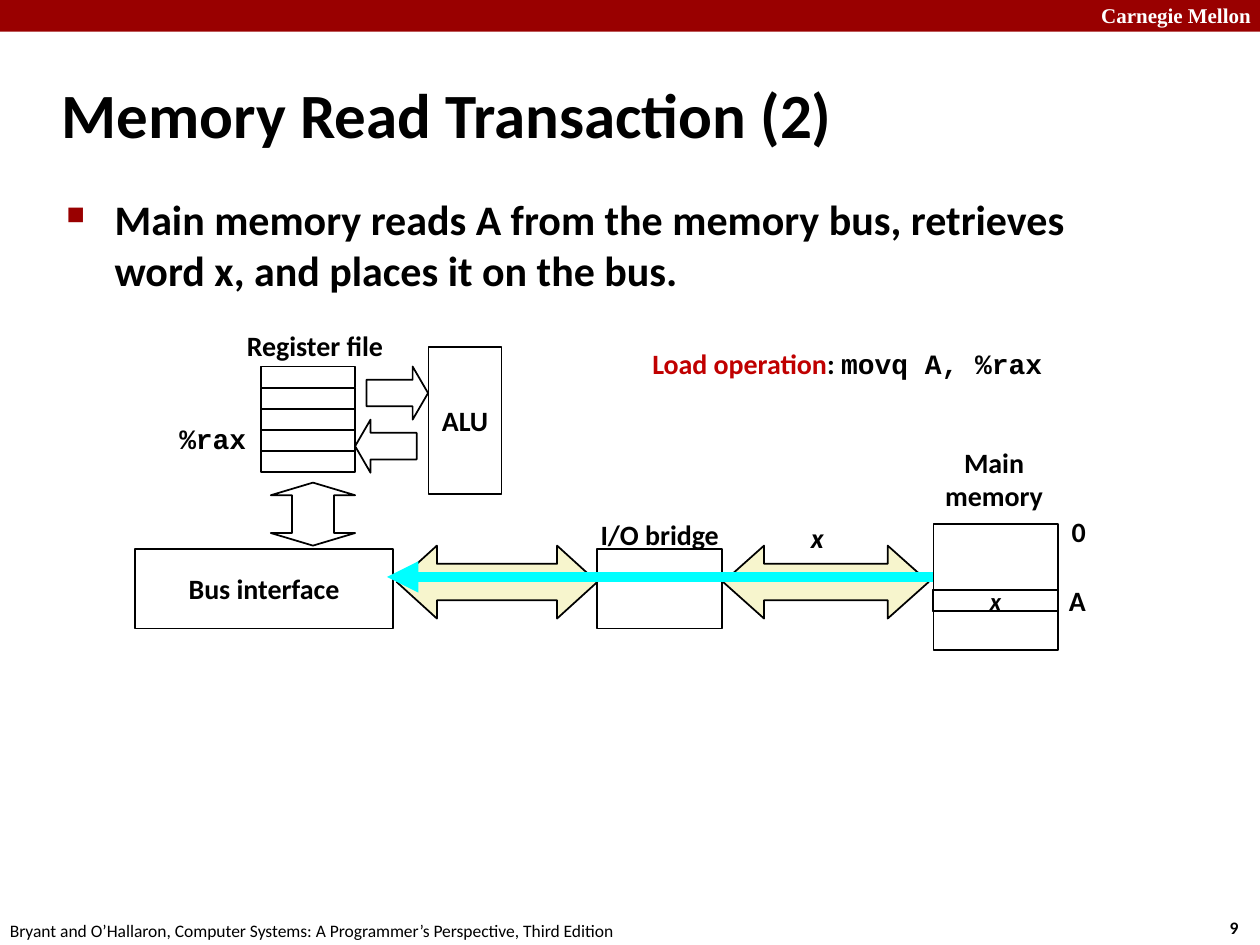
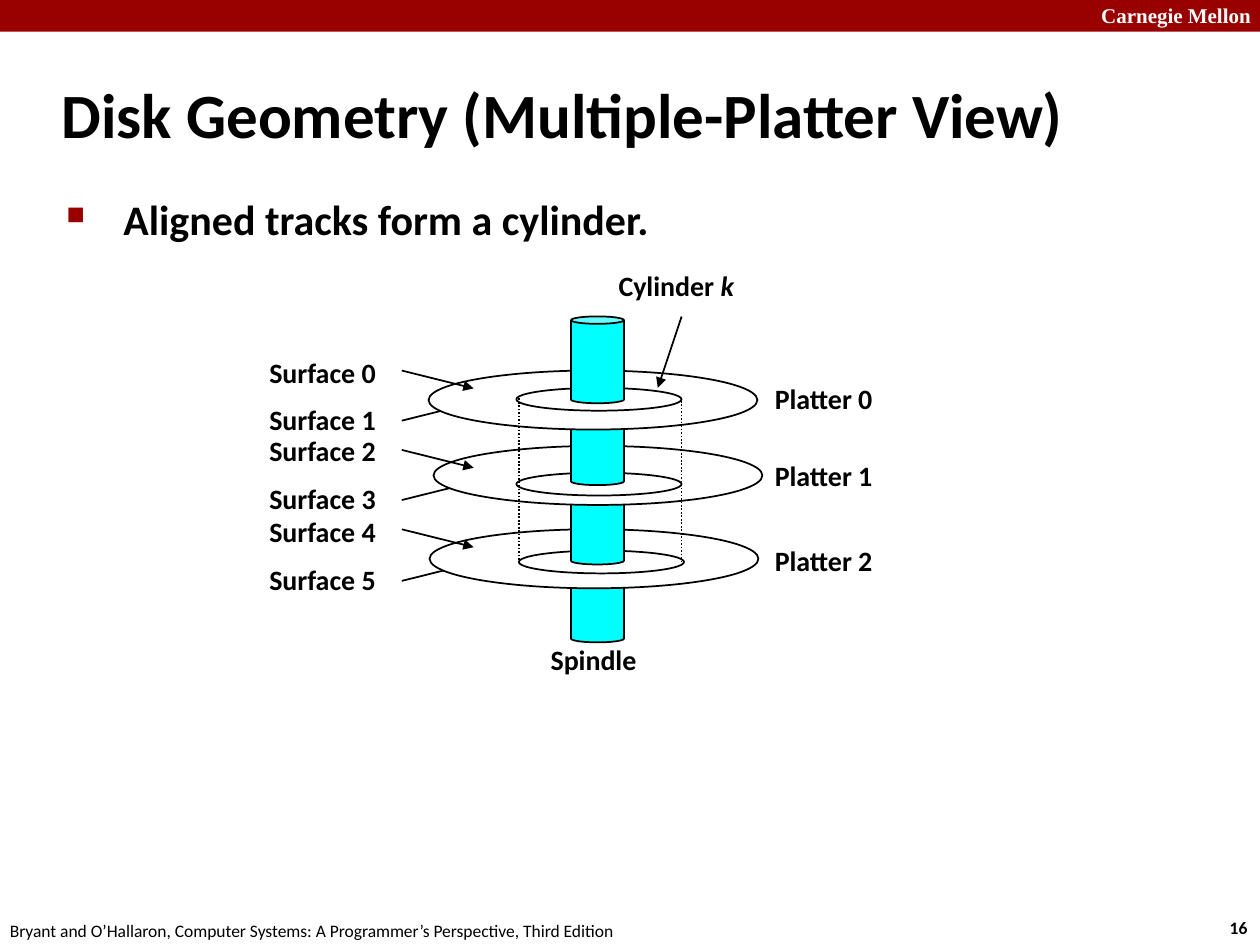
from lxml.etree import SubElement
from pptx import Presentation
from pptx.dml.color import RGBColor
from pptx.enum.dml import MSO_LINE
from pptx.enum.shapes import MSO_CONNECTOR, MSO_SHAPE as Shape
from pptx.enum.text import MSO_ANCHOR as Anchor, PP_ALIGN as Align
from pptx.oxml.ns import qn
from pptx.util import Cm, Pt

RED = RGBColor(0x99, 0x00, 0x00)
ACCENT = RGBColor(0xC0, 0x00, 0x00)
CREAM = RGBColor(0xF7, 0xF5, 0xCD)
CYAN = RGBColor(0x00, 0xFF, 0xFF)
BLACK = RGBColor(0, 0, 0)
WHITE = RGBColor(0xFF, 0xFF, 0xFF)
BODY_FONT, CODE_FONT, SCHOOL_FONT = "Calibri", "Courier New", "Times New Roman"

SCHOOL = "Carnegie Mellon"
BOOK = "Bryant and O’Hallaron, Computer Systems: A Programmer’s Perspective, Third Edition"
LABEL_HEIGHT = 0.94

READ_TITLE = "Memory Read Transaction (2)"
READ_POINT = "Main memory reads A from the memory bus, retrieves word x, and places it on the bus."
REGISTER_COUNT = 5
REGISTER_FILE = (5.26, 7.39, 1.9, 2.13)
HARDWARE = [
    (Shape.LEFT_RIGHT_ARROW, (14.58, 11, 4.14, 1.47), CREAM, (0.5, 0.56)),
    (Shape.RECTANGLE, (12.04, 11.07, 2.51, 1.6), None, ()),
    (Shape.LEFT_RIGHT_ARROW, (8, 11, 4.04, 1.47), CREAM, (0.5, 0.55)),
    (Shape.RIGHT_ARROW, (7.39, 7.39, 1.24, 1.07), None, (0.5, 0.29)),
    (Shape.LEFT_ARROW, (7.16, 8.46, 1.24, 1.07), None, (0.5, 0.29)),
    (Shape.UP_DOWN_ARROW, (5.46, 9.73, 1.7, 1.27), None, (0.5, 0.2)),
]
ALU = (8.64, 6.99, 1.47, 2.97)
BUS_INTERFACE = (2.72, 11.07, 5.21, 1.6)
MAIN_MEMORY = (18.82, 10.57, 2.51, 2.54)
MEMORY_WORD = (18.8, 11.89, 2.54, 0.43)
DATA_PATH = ((18.8, 11.63), (7.8, 11.63))
READ_LABELS = [
    ("Register file", (4.7, 6.5, 3.3), {}),
    ("x", (16.08, 10.36, 0.79), {"italic": True}),
    ("0", (21.34, 10.24, 0.81), {}),
    ("A", (21.29, 11.63, 0.86), {}),
    ("%rax", (3.35, 8.36, 1.88), {"name": CODE_FONT}),
    ("I/O bridge", (11.84, 10.31, 2.92), {}),
]
LOAD_OPERATION = [
    ("Load operation", {"color": ACCENT}),
    (": ", {}),
    ("movq A, %rax", {"name": CODE_FONT}),
]

DISK_TITLE = "Disk Geometry (Multiple-Platter View)"
DISK_POINT = "Aligned tracks form a cylinder."
SURFACES = [(7.04, 7.47), (7.98, 8.48), (8.61, 9.07), (9.58, 10.08), (10.24, 10.67), (11.2, 11.71)]
SURFACE_ARROW_X, SURFACE_ARROW_RUN, SURFACE_ARROW_RISE = 8.1, 1.45, 0.36
PLATTERS = [
    {"label": 7.57, "spindle": 8.03, "disk": (8.64, 7.47), "track": (10.41, 7.82)},
    {"label": 9.12, "spindle": 9.63, "disk": (8.74, 8.99), "track": (10.41, 9.53)},
    {"label": 10.82, "spindle": 11.2, "disk": (8.66, 10.67), "track": (10.46, 11.1)},
]
DISK_SIZE, TRACK_SIZE, SPINDLE_SIZE = (6.63, 1.19), (3.33, 0.46), (1.07, 1.75)
SPINDLE_LEFT, SPINDLE_TOP = 11.51, 6.38
CYLINDER_SIDES = [(10.46, 8.03, 11.35), (13.74, 8.08, 11.38)]
CYLINDER_POINTER = ((13.74, 6.38), (13.26, 7.82))


def style(span, size=16, name=BODY_FONT, color=BLACK, bold=True, italic=False):
    span.font.size = Pt(size)
    span.font.name = name
    span.font.color.rgb = color
    span.font.bold = bold
    span.font.italic = italic


def write(holder, text, align=Align.LEFT, anchor=Anchor.MIDDLE, wrap=False, **look):
    frame = holder.text_frame
    frame.word_wrap = wrap
    frame.vertical_anchor = anchor
    para = frame.paragraphs[0]
    para.alignment = align
    for words, change in [(text, {})] if isinstance(text, str) else text:
        span = para.add_run()
        span.text = words
        style(span, **{**look, **change})
    return para


def add_label(page, text, place, **options):
    box = page.shapes.add_textbox(*map(Cm, place))
    return write(box, text, **options)


def set_adjustments(figure, values):
    guides = figure._element.spPr.find(qn("a:prstGeom")).find(qn("a:avLst"))
    guides.clear()
    for number, value in enumerate(values, 1):
        name = f"adj{number}" if len(values) > 1 else "adj"
        SubElement(guides, qn("a:gd"), name=name, fmla=f"val {round(value * 100000)}")


def add_figure(page, kind, place, fill=None, adjustments=(), outline=BLACK):
    figure = page.shapes.add_shape(kind, *map(Cm, place))
    figure.shadow.inherit = False
    if adjustments:
        set_adjustments(figure, adjustments)
    if fill is None:
        figure.fill.background()
    else:
        figure.fill.solid()
        figure.fill.fore_color.rgb = fill
    if outline is None:
        figure.line.fill.background()
    else:
        figure.line.color.rgb = outline
        figure.line.width = Pt(1)
    return figure


def add_line(page, start, end, color=BLACK, width=1, dash=None, arrow=True):
    line = page.shapes.add_connector(MSO_CONNECTOR.STRAIGHT, *map(Cm, start + end))
    line.line.color.rgb = color
    line.line.width = Pt(width)
    if dash is not None:
        line.line.dash_style = dash
    properties = line._element.spPr
    if arrow:
        SubElement(properties.find(qn("a:ln")), qn("a:tailEnd"), type="triangle")
    SubElement(properties, qn("a:effectLst"))


def add_page(deck, number, title, point, indent):
    page = deck.slides.add_slide(deck.slide_layouts[5])
    add_figure(page, Shape.RECTANGLE, (0, 0, 25.4, 0.64), RED, outline=None)
    add_label(page, SCHOOL, (21.95, -0.08, 3.63, 0.76), anchor=Anchor.TOP,
              size=12, name=SCHOOL_FONT, color=WHITE)
    add_label(page, str(number), (24.54, 18.36, 0.94, 0.69), anchor=Anchor.TOP, size=10)
    add_label(page, BOOK, (-0.05, 18.42, 12.9, 0.69), anchor=Anchor.TOP, size=10, bold=False)

    heading = page.shapes.title
    heading.left, heading.top, heading.width, heading.height = map(Cm, (0.99, 1.22, 21.08, 2.11))
    write(heading, title, wrap=True, size=36)

    para = add_label(page, point, (1.09, 3.78, 21.95, 13.82), anchor=Anchor.TOP, wrap=True, size=24)
    properties = para._p.get_or_add_pPr()
    properties.set("marL", str(Cm(indent)))
    properties.set("indent", str(-Cm(indent)))
    bullet_color = SubElement(properties, qn("a:buClr"))
    SubElement(bullet_color, qn("a:srgbClr"), val=str(RED))
    SubElement(properties, qn("a:buSzPct"), val="60000")
    SubElement(properties, qn("a:buChar"), char="■")
    return page


def build_memory_read(deck):
    page = add_page(deck, 9, READ_TITLE, READ_POINT, 0.97)
    for kind, place, fill, adjustments in HARDWARE:
        add_figure(page, kind, place, fill, adjustments)
    left, top, width, height = REGISTER_FILE
    row = height / REGISTER_COUNT
    for index in range(REGISTER_COUNT):
        add_figure(page, Shape.RECTANGLE, (left, top + index * row, width, row))
    write(add_figure(page, Shape.RECTANGLE, ALU), "ALU", Align.CENTER)
    write(add_figure(page, Shape.RECTANGLE, BUS_INTERFACE, WHITE), "Bus interface", Align.CENTER)
    add_line(page, *DATA_PATH, color=CYAN, width=6)
    add_figure(page, Shape.RECTANGLE, MAIN_MEMORY)
    word = add_figure(page, Shape.RECTANGLE, MEMORY_WORD)
    write(word, "x", Align.CENTER, size=14, italic=True)
    for text, place, look in READ_LABELS:
        add_label(page, text, (*place, LABEL_HEIGHT), align=Align.CENTER, **look)
    add_label(page, "Main memory", (18.21, 8.84, 3.66, 1.63), align=Align.CENTER, wrap=True)
    add_label(page, LOAD_OPERATION, (12.9, 6.86, 8.48, 1.63), anchor=Anchor.TOP)


def add_surface_arrow(page, index):
    y = SURFACES[index][1]
    rise = -SURFACE_ARROW_RISE if index % 2 else SURFACE_ARROW_RISE
    add_line(page, (SURFACE_ARROW_X, y), (SURFACE_ARROW_X + SURFACE_ARROW_RUN, y + rise))


def add_spindle(page, top):
    add_figure(page, Shape.CAN, (SPINDLE_LEFT, top, *SPINDLE_SIZE), CYAN, (0.14,))


def build_disk(deck):
    page = add_page(deck, 16, DISK_TITLE, DISK_POINT, 1.15)
    for index in range(1, len(SURFACES), 2):
        add_surface_arrow(page, index)
    for number, platter in reversed(list(enumerate(PLATTERS))):
        add_spindle(page, platter["spindle"])
        add_figure(page, Shape.OVAL, platter["disk"] + DISK_SIZE, WHITE)
        add_figure(page, Shape.OVAL, platter["track"] + TRACK_SIZE)
        add_label(page, f"Platter {number}", (15.37, platter["label"], 2.51, LABEL_HEIGHT))
    add_spindle(page, SPINDLE_TOP)
    for index in range(0, len(SURFACES), 2):
        add_surface_arrow(page, index)
    for index, (top, _) in enumerate(SURFACES):
        add_label(page, f"Surface {index}", (5.18, top, 2.69, LABEL_HEIGHT))
    for x, top, bottom in CYLINDER_SIDES:
        add_line(page, (x, top), (x, bottom), dash=MSO_LINE.ROUND_DOT, arrow=False)
    add_label(page, [("Cylinder ", {}), ("k", {"italic": True})], (12.22, 5.28, 2.87, LABEL_HEIGHT))
    add_line(page, *CYLINDER_POINTER)
    add_label(page, "Spindle", (10.85, 12.83, 2.26, LABEL_HEIGHT))


def main():
    deck = Presentation()
    deck.slide_width, deck.slide_height = Cm(25.4), Cm(19.05)
    build_memory_read(deck)
    build_disk(deck)
    deck.save("out.pptx")


if __name__ == "__main__":
    main()
